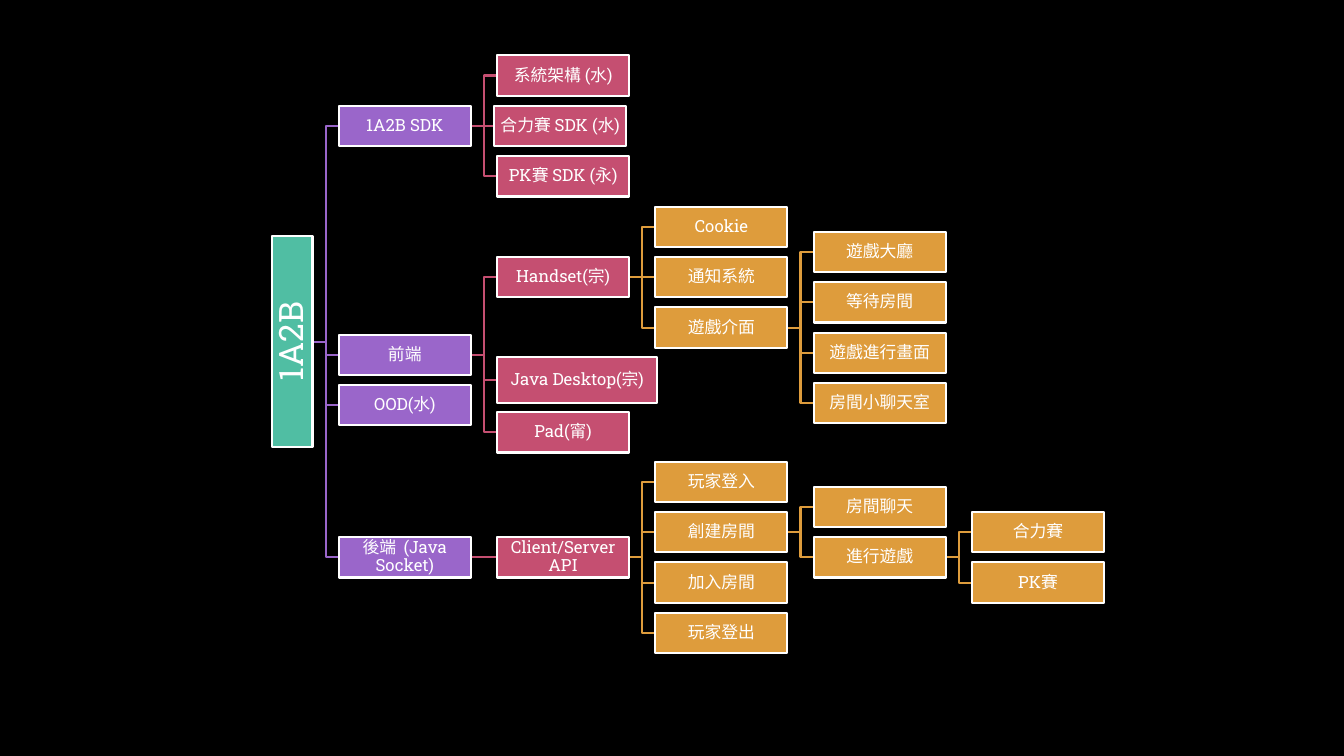
from dataclasses import dataclass

from lxml import etree
from pptx import Presentation
from pptx.dml.color import RGBColor
from pptx.enum.shapes import MSO_CONNECTOR, MSO_SHAPE
from pptx.enum.text import MSO_ANCHOR, PP_ALIGN
from pptx.oxml.ns import qn
from pptx.util import Inches, Pt

RECTANGLE = MSO_SHAPE.RECTANGLE
ELBOW = MSO_CONNECTOR.ELBOW
STRAIGHT = MSO_CONNECTOR.STRAIGHT
MIDDLE = MSO_ANCHOR.MIDDLE
CENTER = PP_ALIGN.CENTER
LEFT_SIDE, RIGHT_SIDE = 1, 3


@dataclass(frozen=True)
class Theme:
    """Colours, type sizes and spacing of the slide."""
    background: RGBColor = RGBColor(0, 0, 0)
    text: RGBColor = RGBColor(255, 255, 255)
    levels: tuple = tuple(RGBColor.from_string(code) for code in
                          ("50BEA3", "9A66CA", "C54F71", "DE9C3C", "DE9C3C", "DE9C3C"))
    font: str = "Roboto Slab"
    root_size: int = 24
    node_size: int = 12
    line_width: float = 1.5
    gap: float = 0.26
    row_pitch: float = 0.5


@dataclass(frozen=True)
class Node:
    """One box of the tree; middle is given where siblings are not evenly spread."""
    text: str
    children: tuple = ()
    middle: float = None
    width: float = 1.31
    height: float = 0.4
    shift: float = 0


THEME = Theme()

SDK = Node("1A2B SDK", (
    Node("系統架構 (水)"),
    Node("合力賽 SDK (水)", shift=-0.03),
    Node("PK賽 SDK (永)"),
), middle=1.25)

GAME_INTERFACE = Node("遊戲介面", (
    Node("遊戲大廳"), Node("等待房間"), Node("遊戲進行畫面"), Node("房間小聊天室")))

FRONT_END = Node("前端", (
    Node("Handset(宗)", (Node("Cookie"), Node("通知系統"), GAME_INTERFACE), middle=2.75),
    Node("Java Desktop(宗)", middle=3.77, width=1.59, height=0.45),
    Node("Pad(甯)", middle=4.29),
), middle=3.52)

CREATE_ROOM = Node("創建房間", (
    Node("房間聊天"),
    Node("進行遊戲", (Node("合力賽"), Node("PK賽")))))

BACK_END = Node("後端  (Java Socket)", (
    Node("Client/Server API", (
        Node("玩家登入"), CREATE_ROOM, Node("加入房間"), Node("玩家登出"))),
), middle=5.53)

ROOT = Node("1A2B", (SDK, FRONT_END, Node("OOD(水)", middle=4.02), BACK_END),
            width=2.09)


def apply_format(target, values):
    """Set each named attribute on the target."""
    for name, value in values.items():
        setattr(target, name, value)


def add_box(slide, node, level, left, middle, size, margin):
    """Draw one labelled rectangle centred vertically on middle."""
    box = slide.shapes.add_shape(RECTANGLE, Inches(left), Inches(middle - node.height / 2),
                                 Inches(node.width), Inches(node.height))
    box.shadow.inherit = False
    box.fill.solid()
    box.fill.fore_color.rgb = THEME.levels[level]
    box.line.color.rgb = THEME.text
    box.line.width = Pt(THEME.line_width)
    frame = box.text_frame
    edge = Inches(margin)
    apply_format(frame, {"word_wrap": True, "vertical_anchor": MIDDLE,
                         "margin_left": edge, "margin_right": edge,
                         "margin_top": edge, "margin_bottom": edge})
    paragraph = frame.paragraphs[0]
    apply_format(paragraph, {"text": node.text, "alignment": CENTER, "line_spacing": 0.9})
    font = paragraph.runs[0].font
    apply_format(font, {"name": THEME.font, "size": Pt(size)})
    font.color.rgb = THEME.text
    return box


def add_branch(slide, parent, child, start, end, level):
    """Join the parent's right side to the child's left side, behind the boxes."""
    kind = STRAIGHT if abs(start[1] - end[1]) < 0.01 else ELBOW
    branch = slide.shapes.add_connector(kind, *(Inches(value) for value in start + end))
    if not parent.rotation:
        branch.begin_connect(parent, RIGHT_SIDE)
    branch.end_connect(child, LEFT_SIDE)
    branch.line.color.rgb = THEME.levels[level]
    branch.line.width = Pt(THEME.line_width)
    element = branch._element
    etree.SubElement(element.spPr, qn("a:effectLst"))
    tree = element.getparent()
    tree.remove(element)
    tree.insert(2, element)


def add_children(slide, node, box, level, right, middle):
    """Place a node's children in the next column, spread evenly around it."""
    column = right + THEME.gap
    first = middle - (len(node.children) - 1) / 2 * THEME.row_pitch
    for index, child in enumerate(node.children):
        child_middle = child.middle or first + index * THEME.row_pitch
        left = column + child.shift
        child_box = add_box(slide, child, level, left, child_middle, THEME.node_size, 0.01)
        add_branch(slide, box, child_box, (right, middle), (left, child_middle), level)
        add_children(slide, child, child_box, level + 1, left + child.width, child_middle)


def add_tree(slide, root, left, middle):
    """Draw the upright root box and every level to its right."""
    box_left = left + (root.height - root.width) / 2
    box = add_box(slide, root, 0, box_left, middle, THEME.root_size, 0.02)
    box.rotation = 270
    add_children(slide, root, box, 1, left + root.height, middle)


def main():
    """Build the work breakdown slide and save it."""
    presentation = Presentation()
    apply_format(presentation, {"slide_width": Inches(13.33), "slide_height": Inches(7.5)})
    slide = presentation.slides.add_slide(presentation.slide_layouts[6])
    background = slide.background.fill
    background.solid()
    background.fore_color.rgb = THEME.background
    add_tree(slide, ROOT, 2.7, 3.39)
    presentation.save("out.pptx")


if __name__ == "__main__":
    main()
